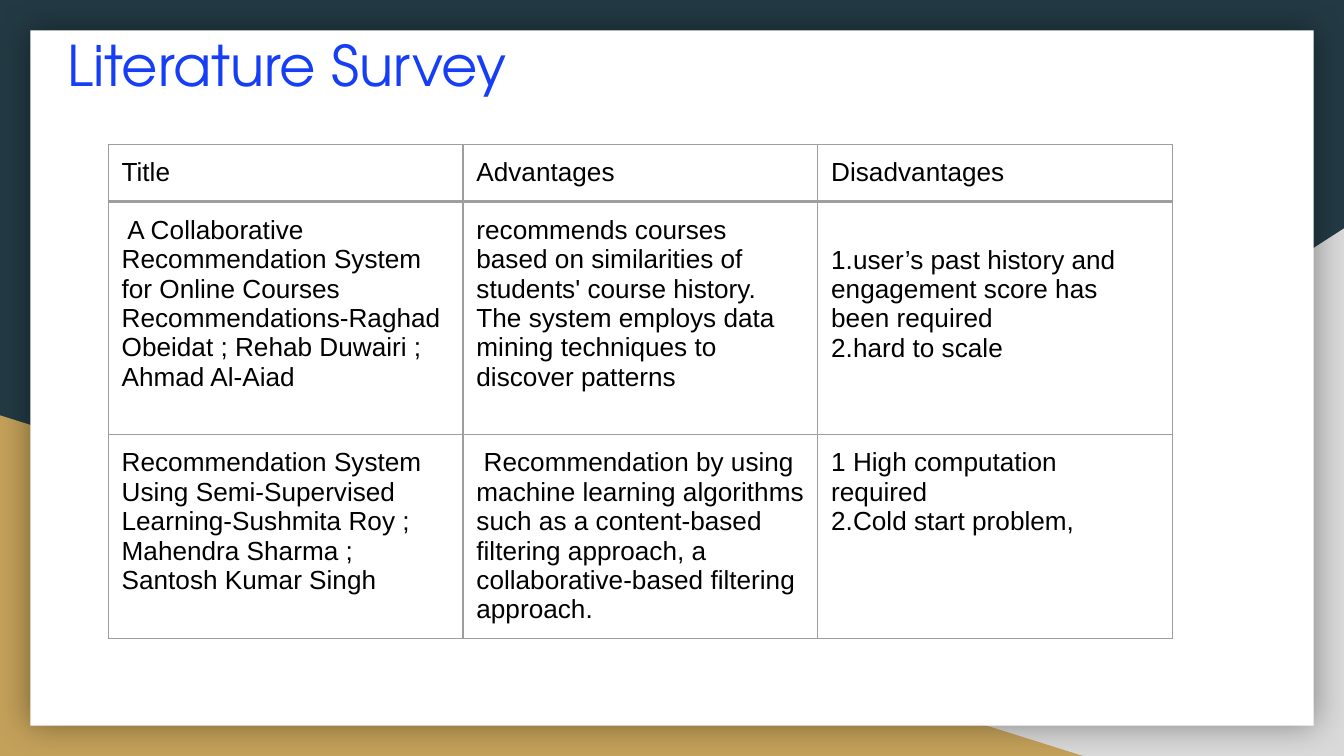
from dataclasses import dataclass

from lxml import etree
from pptx import Presentation
from pptx.dml.color import RGBColor
from pptx.enum.shapes import MSO_SHAPE
from pptx.enum.text import MSO_ANCHOR, MSO_AUTO_SIZE, PP_ALIGN
from pptx.oxml.ns import qn
from pptx.util import Emu, Pt

RECTANGLE = MSO_SHAPE.RECTANGLE
TRIANGLE = MSO_SHAPE.RIGHT_TRIANGLE
TOP = MSO_ANCHOR.TOP
LEFT = PP_ALIGN.LEFT
NO_AUTOFIT = MSO_AUTO_SIZE.NONE
TITLE_ONLY = 5

EMU_PER_PX = 4572  # 200 px to the inch
PAGE_WIDTH, PAGE_HEIGHT = 2000, 1125
INSET = 20
COLUMN_WIDTH = 528
TABLE_LEFT = 161


@dataclass(frozen=True)
class Theme:
    background: str = "233A44"
    grey: str = "D9D9D9"
    gold: str = "C4A15A"
    card: str = "FFFFFF"
    shadow: str = "000000"
    title: str = "163EF5"
    text: str = "000000"
    border: str = "9E9E9E"
    title_font: str = "TeX Gyre Adventor"
    body_font: str = "Arial"
    title_size: int = 30
    body_size: int = 14
    border_width: float = 0.75


@dataclass(frozen=True)
class Panel:
    kind: int
    left: int
    top: int
    width: int
    height: int
    fill: str
    flipped: bool = False
    shadowed: bool = False


@dataclass(frozen=True)
class Entry:
    lines: tuple[str, ...]
    top_inset: int = INSET


@dataclass(frozen=True)
class Grid:
    top: int
    row_heights: tuple[int, ...]
    rows: tuple[tuple[Entry, ...], ...]


THEME = Theme()

PANELS = (
    Panel(TRIANGLE, 784, 340, 1216, 785, THEME.grey, flipped=True),
    Panel(TRIANGLE, 0, 618, 1612, 507, THEME.gold),
    Panel(RECTANGLE, 45, 45, 1910, 1035, THEME.card, shadowed=True),
)

PAPERS = Grid(301, (346, 303), (
    (
        Entry((" A Collaborative Recommendation System for Online Courses "
               "Recommendations-Raghad Obeidat ; Rehab Duwairi ; Ahmad Al-Aiad",)),
        Entry(("recommends courses based on similarities of students' course history. "
               "The system employs data mining techniques to discover patterns",)),
        Entry(("1.user’s past history and engagement score has been required",
               "2.hard to scale"), top_inset=64),
    ),
    (
        Entry(("Recommendation System Using Semi-Supervised Learning-Sushmita Roy ; "
               "Mahendra Sharma ; Santosh Kumar Singh",)),
        Entry((" Recommendation by using machine learning algorithms such as a "
               "content-based filtering approach, a collaborative-based filtering approach.",)),
        Entry(("1 High computation required", "2.Cold start problem,")),
    ),
))

HEADINGS = Grid(215, (84,), (
    (Entry(("Title",)), Entry(("Advantages",)), Entry(("Disadvantages",))),
))


def px(length: int) -> Emu:
    return Emu(length * EMU_PER_PX)


def write_text(frame, lines: tuple[str, ...], *, font: str, size: int, color: str) -> None:
    """Fill a text frame with one paragraph per line."""
    for index, line in enumerate(lines):
        para = frame.paragraphs[0] if index == 0 else frame.add_paragraph()
        para.alignment = LEFT
        span = para.add_run()
        span.text = line
        span.font.name = font
        span.font.size = Pt(size)
        span.font.color.rgb = RGBColor.from_string(color)


def add_color(parent, color: str):
    return etree.SubElement(parent, qn("a:srgbClr"), val=color)


def add_soft_shadow(shape) -> None:
    effects = shape._element.spPr.find(qn("a:effectLst"))
    shadow = etree.SubElement(effects, qn("a:outerShdw"), blurRad=str(Pt(18)),
                              dist="0", dir="0", algn="ctr", rotWithShape="0")
    etree.SubElement(add_color(shadow, THEME.shadow), qn("a:alpha"), val="40000")


def draw_panel(page, panel: Panel) -> None:
    shape = page.shapes.add_shape(panel.kind, px(panel.left), px(panel.top),
                                  px(panel.width), px(panel.height))
    shape.shadow.inherit = False
    shape.fill.solid()
    shape.fill.fore_color.rgb = RGBColor.from_string(panel.fill)
    shape.line.fill.background()
    if panel.flipped:
        shape._element.spPr.find(qn("a:xfrm")).set("flipH", "1")
    if panel.shadowed:
        add_soft_shadow(shape)


def add_borders(cell) -> None:
    properties = cell._tc.get_or_add_tcPr()
    for index, side in enumerate(("lnL", "lnR", "lnT", "lnB")):
        line = etree.Element(qn(f"a:{side}"), w=str(Pt(THEME.border_width)))
        add_color(etree.SubElement(line, qn("a:solidFill")), THEME.border)
        properties.insert(index, line)


def draw_cell(cell, entry: Entry) -> None:
    cell.fill.background()
    cell.margin_left = cell.margin_right = cell.margin_bottom = px(INSET)
    cell.margin_top = px(entry.top_inset)
    cell.vertical_anchor = TOP
    write_text(cell.text_frame, entry.lines, font=THEME.body_font,
               size=THEME.body_size, color=THEME.text)
    add_borders(cell)


def draw_grid(page, grid: Grid) -> None:
    column_count = len(grid.rows[0])
    table = page.shapes.add_table(len(grid.rows), column_count, px(TABLE_LEFT), px(grid.top),
                                  px(COLUMN_WIDTH * column_count),
                                  px(sum(grid.row_heights))).table
    table.first_row = table.horz_banding = False
    for column in table.columns:
        column.width = px(COLUMN_WIDTH)
    for row, height, entries in zip(table.rows, grid.row_heights, grid.rows):
        row.height = px(height)
        for cell, entry in zip(row.cells, entries):
            draw_cell(cell, entry)


def draw_title(page, text: str) -> None:
    box = page.shapes.title
    page.shapes._spTree.append(box._element)  # bring in front of the card
    box.left, box.top, box.width, box.height = px(80), px(26), px(1530), px(158)
    frame = box.text_frame
    frame.word_wrap = True
    frame.auto_size = NO_AUTOFIT
    frame.vertical_anchor = TOP
    frame.margin_left = frame.margin_right = px(INSET)
    frame.margin_top = frame.margin_bottom = px(INSET)
    write_text(frame, (text,), font=THEME.title_font,
               size=THEME.title_size, color=THEME.title)


def main() -> None:
    deck = Presentation()
    deck.slide_width, deck.slide_height = px(PAGE_WIDTH), px(PAGE_HEIGHT)
    page = deck.slides.add_slide(deck.slide_layouts[TITLE_ONLY])

    # Backdrop and card
    page.background.fill.solid()
    page.background.fill.fore_color.rgb = RGBColor.from_string(THEME.background)
    for panel in PANELS:
        draw_panel(page, panel)

    # Title and survey tables
    draw_title(page, "Literature Survey")
    for grid in (PAPERS, HEADINGS):
        draw_grid(page, grid)

    deck.save("out.pptx")


if __name__ == "__main__":
    main()
